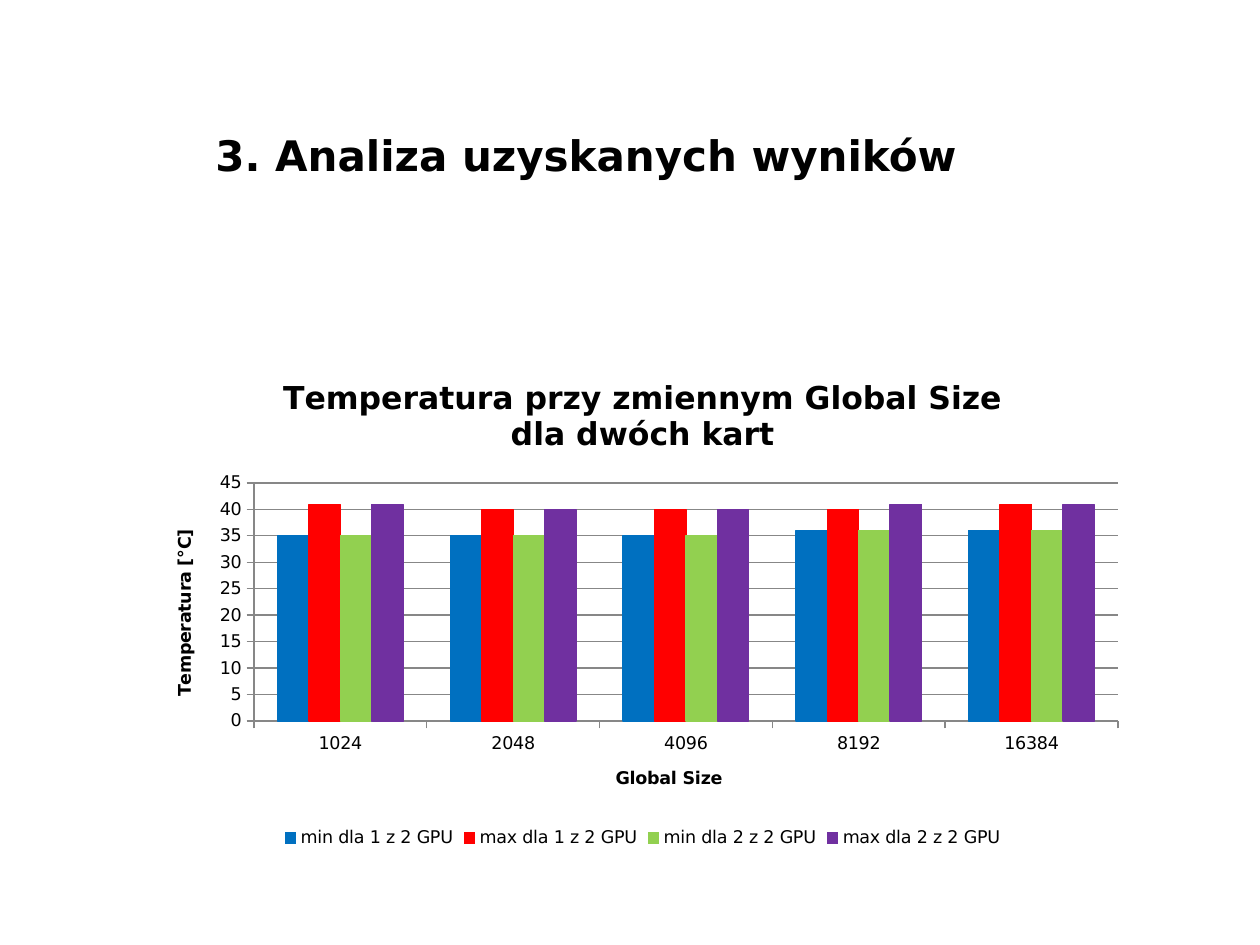
from pptx import Presentation
from pptx.chart.data import CategoryChartData
from pptx.dml.color import RGBColor
from pptx.enum.chart import XL_CHART_TYPE, XL_LEGEND_POSITION, XL_TICK_MARK
from pptx.enum.text import MSO_ANCHOR, PP_ALIGN
from pptx.util import Inches, Pt

COLUMN = XL_CHART_TYPE.COLUMN_CLUSTERED
BOTTOM = XL_LEGEND_POSITION.BOTTOM
OUT = XL_TICK_MARK.OUTSIDE
MIDDLE = MSO_ANCHOR.MIDDLE
LEFT = PP_ALIGN.LEFT
FACE = "DejaVu Sans"
GREY = "878787"


def paint(color, code):
    color.rgb = RGBColor.from_string(code)


def style(font, size, bold):
    font.name = FACE
    font.size = Pt(size)
    font.bold = bold
    paint(font.color, "000000")


deck = Presentation()
deck.slide_width, deck.slide_height = Inches(10), Inches(7.5)
slide = deck.slides.add_slide(deck.slide_layouts[5])

title = slide.shapes.title
title.left, title.top = Inches(1.61), Inches(0.91)
title.width, title.height = Inches(7.95), Inches(0.64)
title.text_frame.text = "3. Analiza uzyskanych wyników"
title.text_frame.vertical_anchor = MIDDLE
line = title.text_frame.paragraphs[0]
line.alignment = LEFT
style(line.runs[0].font, 24, True)

rows = [
    ("min dla 1 z 2 GPU", (35, 35, 35, 36, 36), "0070C0"),
    ("max dla 1 z 2 GPU", (41, 40, 40, 40, 41), "FF0000"),
    ("min dla 2 z 2 GPU", (35, 35, 35, 36, 36), "92D050"),
    ("max dla 2 z 2 GPU", (41, 40, 40, 41, 41), "7030A0"),
]
data = CategoryChartData()
data.categories = ["1024", "2048", "4096", "8192", "16384"]
for name, temps, code in rows:
    data.add_series(name, temps)

chart = slide.shapes.add_chart(
    COLUMN, Inches(1.17), Inches(2.81), Inches(7.86), Inches(3.96), data
).chart
style(chart.font, 10, False)

plot = chart.plots[0]
plot.vary_by_categories = False
plot.gap_width = 150
plot.overlap = 0
for series, (name, temps, code) in zip(plot.series, rows):
    series.format.fill.solid()
    paint(series.format.fill.fore_color, code)
    paint(series.format.line.color, code)
    series.format.line.width = Pt(0.75)

chart.has_legend = True
chart.legend.position = BOTTOM
chart.legend.include_in_layout = False

across, up = chart.category_axis, chart.value_axis
up.minimum_scale = 0
up.major_unit = 5
up.has_major_gridlines = True
for axis in (across, up):
    axis.major_tick_mark = OUT
    style(axis.tick_labels.font, 10, False)
for part in (across, up, up.major_gridlines):
    paint(part.format.line.color, GREY)
    part.format.line.width = Pt(0.75)

heads = [
    (chart, "Temperatura przy zmiennym Global Size dla dwóch kart", 18),
    (across, "Global Size", 10),
    (up, "Temperatura [°C]", 10),
]
for part, words, size in heads:
    part.has_title = True
    head = part.chart_title if part is chart else part.axis_title
    head.text_frame.text = words
    style(head.text_frame.paragraphs[0].runs[0].font, size, True)

deck.save("out.pptx")
